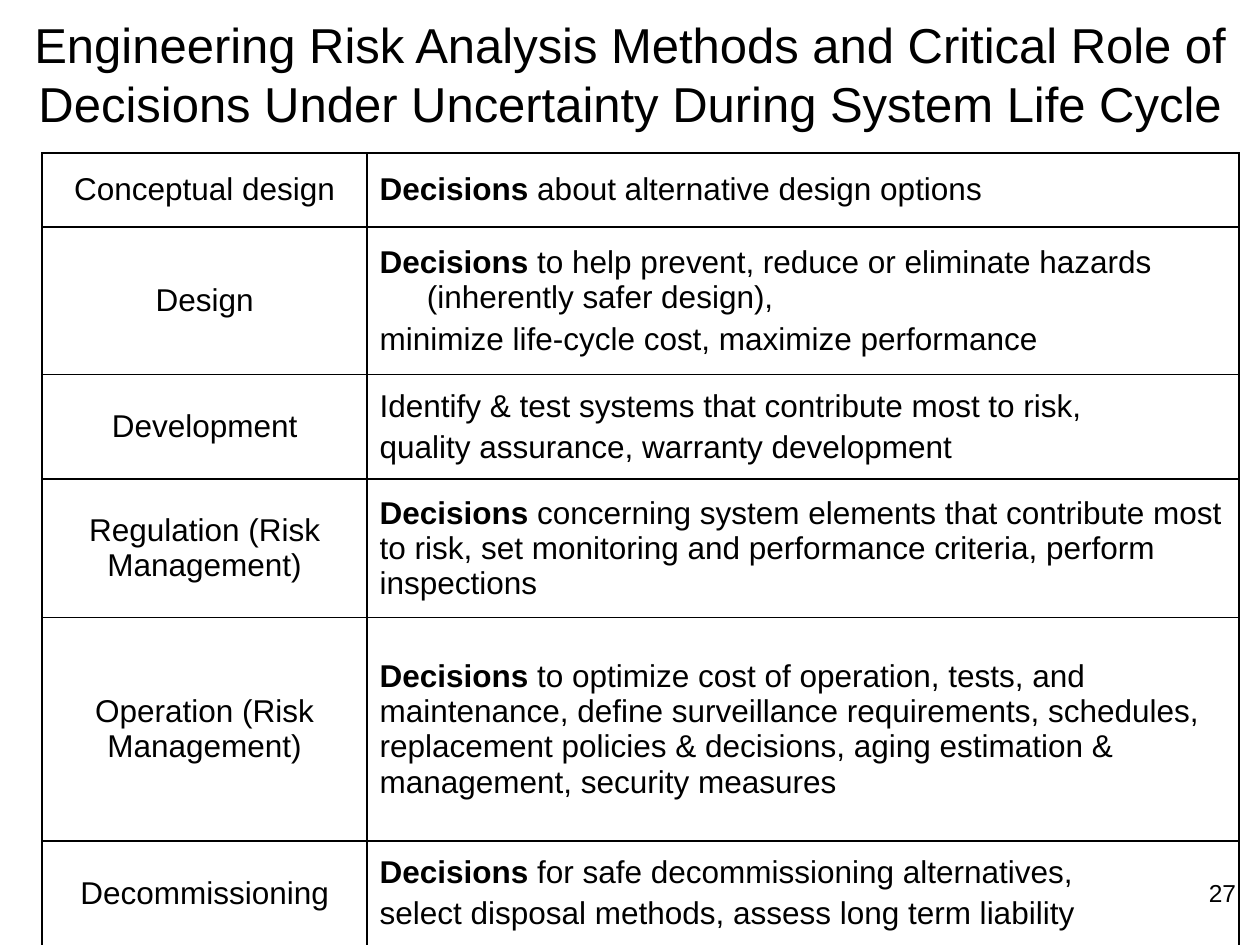
"""Build the slide on engineering risk decisions across the system life cycle."""
from dataclasses import dataclass

from lxml import etree
from pptx import Presentation
from pptx import util as u
from pptx.dml import color
from pptx.enum import text
from pptx.oxml import ns


@dataclass(frozen=True)
class Theme:
    ink: str = "000000"
    font: str = "Arial"
    title: float = 28
    body: float = 18
    number: float = 14
    border: float = 1
    gap: float = 3.6


theme = Theme()
EMPHASIS = "Decisions"
HANGING = 0.95
column_widths = [6.55, 17.58]
stages = [
    ("Conceptual design", 1.5, HANGING, ["Decisions about alternative design options"]),
    ("Design", 2.97, HANGING, [
        "Decisions to help prevent, reduce or eliminate hazards (inherently safer design),",
        "minimize life-cycle cost, maximize performance"]),
    ("Development", 2.11, 0, [
        "Identify & test systems that contribute most to risk,",
        "quality assurance, warranty development"]),
    ("Regulation (Risk Management)", 2.79, 0, [
        "Decisions concerning system elements that contribute most to risk, "
        "set monitoring and performance criteria, perform inspections"]),
    ("Operation (Risk Management)", 4.5, 0, [
        "Decisions to optimize cost of operation, tests, and maintenance, "
        "define surveillance requirements, schedules, replacement policies & decisions, "
        "aging estimation & management, security measures"]),
    ("Decommissioning", 2.11, HANGING, [
        "Decisions for safe decommissioning alternatives,",
        "select disposal methods, assess long term liability"]),
]


def write(paragraph, content, size, alignment):
    paragraph.alignment = alignment
    before, emphasis, after = content.partition(EMPHASIS)
    if emphasis and not before:
        paragraph.add_run().text = emphasis
        paragraph.runs[0].font.bold = True
        paragraph.add_run().text = after
    else:
        paragraph.add_run().text = content
    paragraph.font.name = theme.font
    paragraph.font.size = u.Pt(size)
    paragraph.font.color.rgb = color.RGBColor.from_string(theme.ink)


def fill_cell(cell, lines, alignment, hanging):
    cell.vertical_anchor = text.MSO_ANCHOR.MIDDLE
    for index, line in enumerate(lines):
        frame = cell.text_frame
        paragraph = frame.add_paragraph() if index else frame.paragraphs[0]
        if hanging:
            properties = paragraph._p.get_or_add_pPr()
            properties.set("marL", str(u.Cm(hanging)))
            properties.set("indent", str(-u.Cm(hanging)))
        paragraph.space_after = u.Pt(theme.gap)
        write(paragraph, line, theme.body, alignment)
    cell_properties = cell._tc.get_or_add_tcPr()
    for side in ("a:lnL", "a:lnR", "a:lnT", "a:lnB"):
        border = etree.SubElement(cell_properties, ns.qn(side), w=str(u.Pt(theme.border)))
        solid = etree.SubElement(border, ns.qn("a:solidFill"))
        etree.SubElement(solid, ns.qn("a:srgbClr"), val=theme.ink)
    cell.fill.background()


presentation = Presentation()
presentation.slide_width, presentation.slide_height = u.Cm(25.4), u.Cm(19.05)
slide = presentation.slides.add_slide(presentation.slide_layouts[6])

text_boxes = [
    ("27", (19.25, 17.58, 5.92, 1.32), theme.number,
     text.PP_ALIGN.RIGHT, text.MSO_ANCHOR.TOP),
    ("Engineering Risk Analysis Methods and Critical Role of "
     "Decisions Under Uncertainty During System Life Cycle",
     (0, 0, 25.4, 2.97), theme.title, text.PP_ALIGN.CENTER, text.MSO_ANCHOR.MIDDLE),
]
for content, bounds, size, alignment, anchor in text_boxes:
    frame = slide.shapes.add_textbox(*map(u.Cm, bounds)).text_frame
    frame.word_wrap = True
    frame.vertical_anchor = anchor
    write(frame.paragraphs[0], content, size, alignment)

table_height = sum(height for _, height, _, _ in stages)
table = slide.shapes.add_table(
    len(stages), len(column_widths), u.Cm(0.85), u.Cm(3.08),
    u.Cm(sum(column_widths)), u.Cm(table_height)).table
table.first_row = table.horz_banding = False
for column, width in zip(table.columns, column_widths):
    column.width = u.Cm(width)
for row, (stage, height, hanging, lines) in zip(table.rows, stages):
    row.height = u.Cm(height)
    fill_cell(row.cells[0], [stage], text.PP_ALIGN.CENTER, 0)
    fill_cell(row.cells[1], lines, text.PP_ALIGN.LEFT, hanging)

presentation.save("out.pptx")
